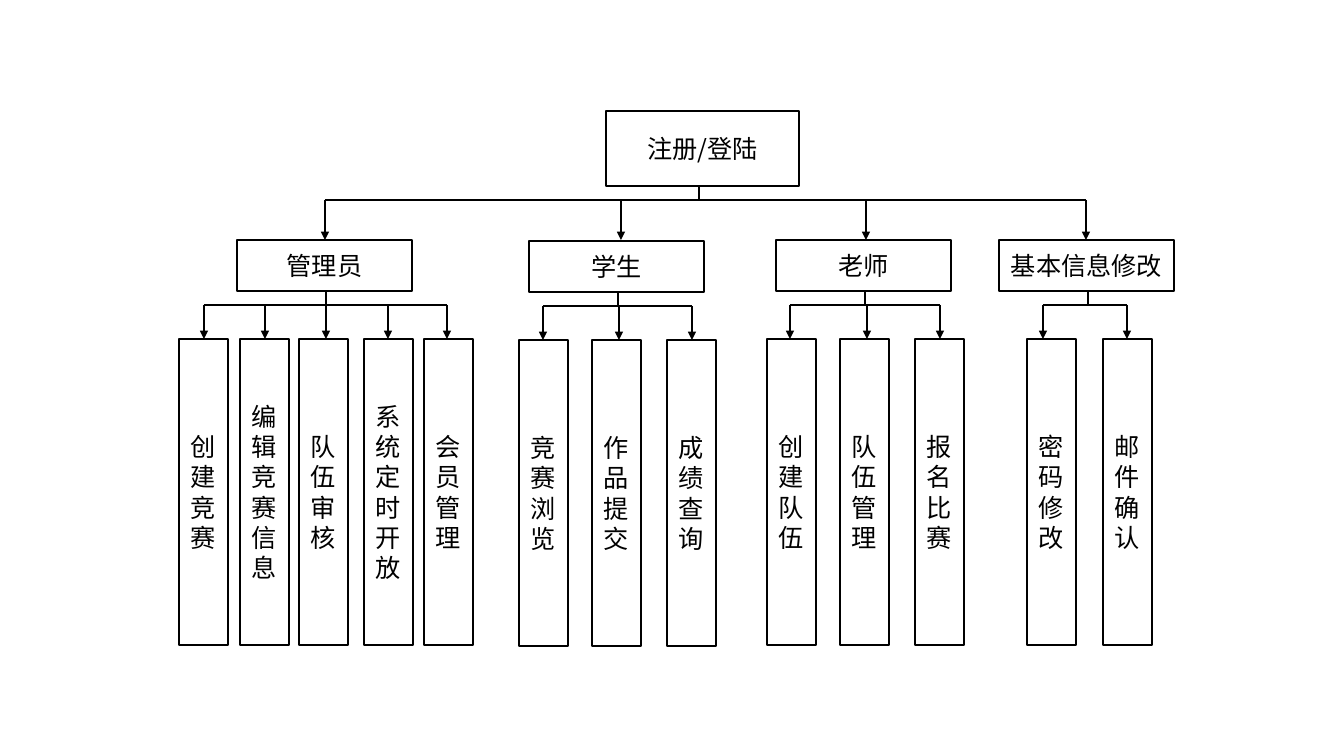
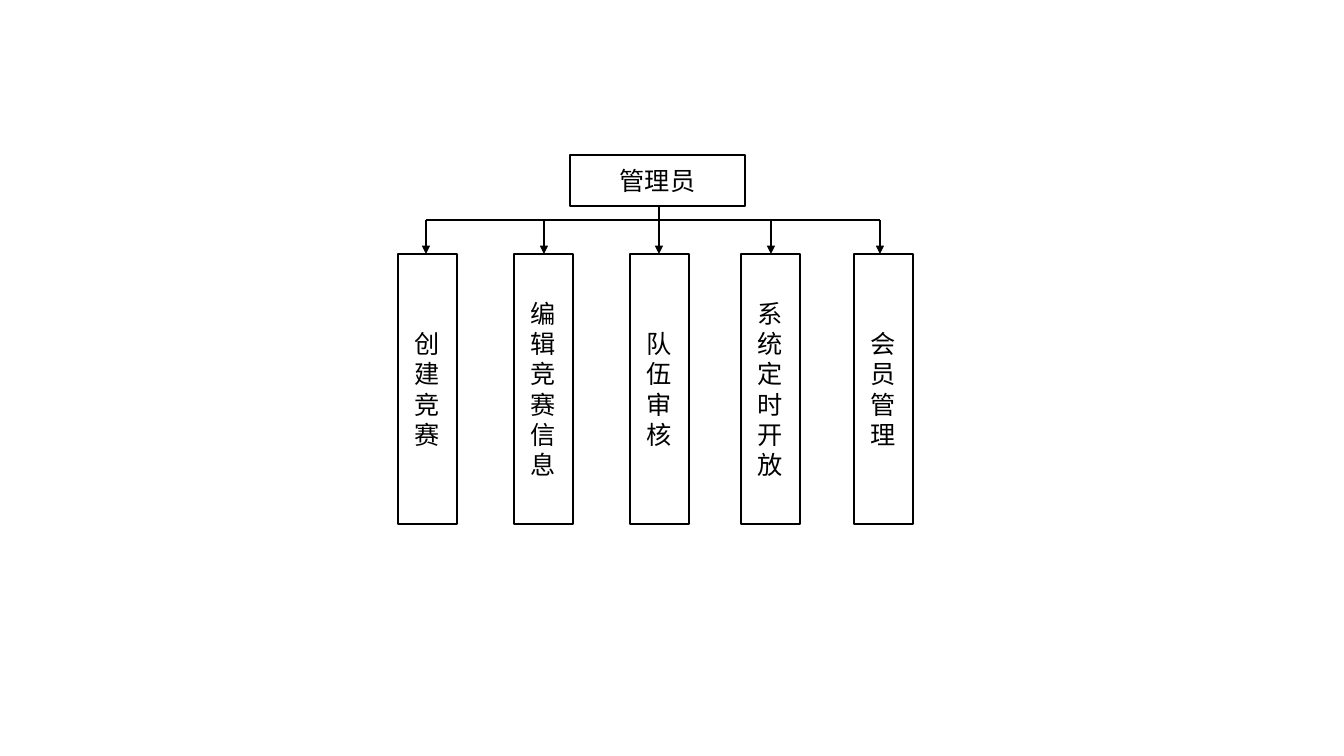
import pptx
import pptx.util
import pptx.dml.color
import pptx.enum.shapes
import pptx.enum.text
import pptx.oxml.ns
import lxml.etree

SCALE = 914400 / 100.8
FONT = "Noto Sans CJK SC"
INK = "000000"
PAPER = "FFFFFF"
TITLE_WIDTH, TITLE_HEIGHT = 175, 51
STEM_OFFSET, BUS_OFFSET, LEAF_OFFSET = 89, 65, 99

ADMIN_TITLE = "管理员"
ADMIN_TASKS = ["创建竞赛", "编辑竞赛信息", "队伍审核", "系统定时开放", "会员管理"]


def px(length):
    return pptx.util.Emu(round(length * SCALE))


def color(value):
    return pptx.dml.color.RGBColor.from_string(value)


def add_child(parent, tag, **attributes):
    return lxml.etree.SubElement(parent, pptx.oxml.ns.qn(tag), **attributes)


def add_box(slide, box, text):
    shape = slide.shapes.add_shape(
        pptx.enum.shapes.MSO_SHAPE.RECTANGLE, *map(px, box))
    shape.shadow.inherit = False
    shape.fill.solid()
    shape.fill.fore_color.rgb = color(PAPER)
    shape.line.color.rgb = color(INK)
    shape.line.width = pptx.util.Pt(1)
    frame = shape.text_frame
    frame.text = text
    frame.word_wrap = True
    frame.vertical_anchor = pptx.enum.text.MSO_ANCHOR.MIDDLE
    paragraph = frame.paragraphs[0]
    paragraph.alignment = pptx.enum.text.PP_ALIGN.CENTER
    font = paragraph.runs[0].font
    font.size = pptx.util.Pt(18)
    font.name = FONT
    font.color.rgb = color(INK)
    add_child(font._element, "a:ea", typeface=FONT)


def add_line(slide, start, end, arrow=False):
    connector = slide.shapes.add_connector(
        pptx.enum.shapes.MSO_CONNECTOR.STRAIGHT, *map(px, start + end))
    connector.line.color.rgb = color(INK)
    connector.line.width = pptx.util.Pt(1)
    if arrow:
        add_child(connector.line._get_or_add_ln(), "a:tailEnd", type="triangle")
    add_child(connector._element.spPr, "a:effectLst")


def add_fork(slide, stem, top, bus, bottom, tips):
    add_line(slide, (stem, top), (stem, bus))
    add_line(slide, (tips[0], bus), (tips[-1], bus))
    for tip in tips:
        add_line(slide, (tip, bus), (tip, bottom), arrow=True)


def add_branch(slide, origin, title, tasks, lefts, tips, leaf_size):
    left, top = origin
    leaf_top = top + LEAF_OFFSET
    add_box(slide, (left, top, TITLE_WIDTH, TITLE_HEIGHT), title)
    for task, leaf_left in zip(tasks, lefts):
        add_box(slide, (leaf_left, leaf_top, *leaf_size), task)
    add_fork(slide, left + STEM_OFFSET, top + TITLE_HEIGHT,
             top + BUS_OFFSET, leaf_top, tips)


def build_system_slide(slide):
    add_box(slide, (606, 111, 193, 75), "注册/登陆")
    add_fork(slide, 699, 186, 200, 240, [325, 621, 866, 1086])
    branches = [
        ((237, 240), ADMIN_TITLE, ADMIN_TASKS,
         [179, 240, 299, 364, 424], [204, 265, 326, 388, 447]),
        ((529, 241), "学生", ["竞赛浏览", "作品提交", "成绩查询"],
         [519, 592, 667], [543, 619, 692]),
        ((776, 240), "老师", ["创建队伍", "队伍管理", "报名比赛"],
         [767, 840, 915], [790, 867, 940]),
        ((999, 240), "基本信息修改", ["密码修改", "邮件确认"],
         [1027, 1103], [1043, 1127]),
    ]
    for branch in branches:
        add_branch(slide, *branch, leaf_size=(49, 306))


def build_admin_slide(slide):
    add_branch(slide, (570, 155), ADMIN_TITLE, ADMIN_TASKS,
               [398, 514, 630, 741, 854], [426, 544, 659, 771, 880],
               leaf_size=(59, 270))


presentation = pptx.Presentation()
presentation.slide_width = px(1344)
presentation.slide_height = px(756)
for build in (build_system_slide, build_admin_slide):
    build(presentation.slides.add_slide(presentation.slide_layouts[6]))
presentation.save("out.pptx")
